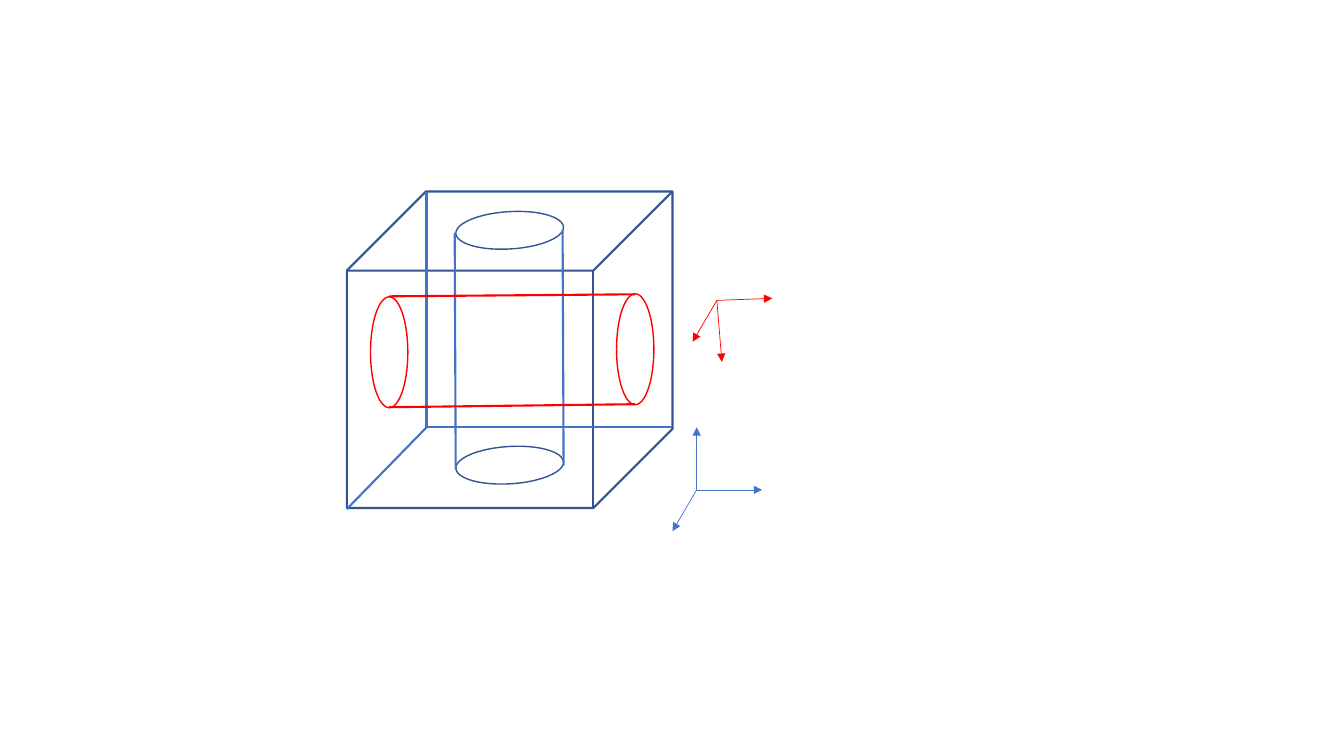
from lxml import etree
from pptx import Presentation
from pptx.dml.color import RGBColor
from pptx.enum.shapes import MSO_CONNECTOR, MSO_SHAPE
from pptx.oxml.ns import qn
from pptx.util import Inches, Pt

CUBE = MSO_SHAPE.CUBE
ELLIPSE = MSO_SHAPE.OVAL
STRAIGHT = MSO_CONNECTOR.STRAIGHT

WHITE = RGBColor(0xFF, 0xFF, 0xFF)
NAVY = RGBColor(0x32, 0x54, 0x91)
BLUE = RGBColor(0x44, 0x72, 0xC4)
RED = RGBColor(0xFF, 0x00, 0x00)


class Diagram:
    edge_width = Pt(1.5)
    rim_width = Pt(1)
    axis_width = Pt(0.5)

    def __init__(self, slide):
        self.slide = slide

    def outline(self, kind, left, top, width, height, color, line_width):
        shape = self.slide.shapes.add_shape(
            kind, Inches(left), Inches(top), Inches(width), Inches(height))
        shape.shadow.inherit = False
        shape.fill.background()
        shape.line.color.rgb = color
        shape.line.width = line_width
        return shape

    def cube(self, left, top, width, height):
        self.outline(CUBE, left, top, width, height, NAVY, self.edge_width)

    def rim(self, left, top, width, height, rotation, color):
        shape = self.outline(ELLIPSE, left, top, width, height, color, self.rim_width)
        shape.fill.solid()
        shape.fill.fore_color.rgb = WHITE
        shape.rotation = rotation

    def edge(self, start, end, color, line_width=edge_width):
        connector = self.slide.shapes.add_connector(
            STRAIGHT, *(Inches(value) for value in (*start, *end)))
        connector.line.color.rgb = color
        connector.line.width = line_width
        etree.SubElement(connector._element.spPr, qn("a:effectLst"))
        return connector

    def axis(self, start, end, color):
        connector = self.edge(start, end, color, self.axis_width)
        line = connector.line._get_or_add_ln()
        etree.SubElement(line, qn("a:tailEnd"), type="triangle")


def main():
    presentation = Presentation()
    presentation.slide_width = Inches(13.33)
    presentation.slide_height = Inches(7.5)
    slide = presentation.slides.add_slide(presentation.slide_layouts[6])
    diagram = Diagram(slide)

    diagram.cube(3.44, 1.9, 3.23, 3.14)
    hidden_corner = (4.23, 4.24)
    for start in ((4.23, 1.9), (6.67, 4.24), (3.44, 5.05)):
        diagram.edge(start, hidden_corner, BLUE)

    for top in (2.1, 4.43):
        diagram.rim(4.52, top, 1.07, 0.37, 356.5, NAVY)
    for left, top in ((4.51, 2.31), (5.58, 2.28)):
        diagram.edge((left, top), (left + 0.01, top + 2.34), BLUE)

    cube_origin = (6.91, 4.86)
    for tip in ((6.91, 4.24), (7.56, 4.86), (6.67, 5.27)):
        diagram.axis(cube_origin, tip, BLUE)

    for left, top in ((5.75, 3.28), (3.31, 3.31)):
        diagram.rim(left, top, 1.1, 0.37, 90, RED)
    for right_end, left_end in ((2.92, 2.94), (4.01, 4.04)):
        diagram.edge((6.3, right_end), (3.86, left_end), RED)

    cylinder_origin = (7.11, 2.98)
    for tip in ((7.66, 2.96), (7.16, 3.59), (6.87, 3.39)):
        diagram.axis(cylinder_origin, tip, RED)

    presentation.save("out.pptx")


if __name__ == "__main__":
    main()
